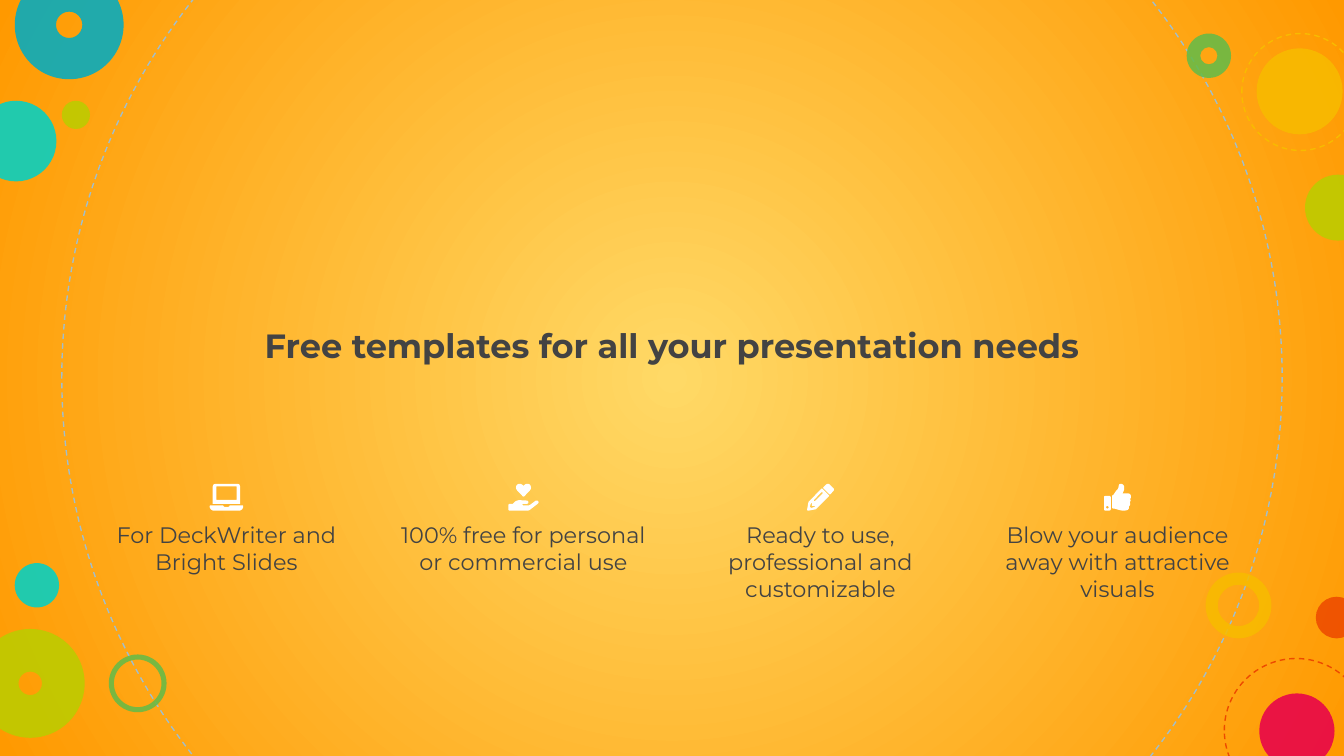
import lxml.etree
import pptx
import pptx.dml.color
import pptx.enum.dml
import pptx.enum.shapes
import pptx.enum.text
import pptx.oxml.ns
import pptx.util

PX = 9144  # EMU per px, 100 px to the inch
ICON_UNIT = 914.4  # EMU per unit of the icon outlines
FONT = "Montserrat"
COLORS = {
    "centre": "FFD966", "edge": "FF9900", "text": "434343", "icon": "FFFFFF",
    "mist": "A1BECC", "teal": "00D1C6", "yellow": "F8BB00", "cyan": "00ACC3",
    "lime": "BBCD00", "orange": "ED4A00", "green": "65BB48", "red": "E8004C",
}

# Circles: left, top, diameter, colour, and the ring thickness of a donut
DASHED_CIRCLES = [
    (46, -173, 908, "mist"), (911, 490, 107, "orange"), (924, 25, 87, "yellow"),
]
FILLED_CIRCLES = [
    (-18, 75, 60, "teal", None), (897, 426, 49, "yellow", 0.186),
    (11, -22, 81, "cyan", 0.379), (46, 75, 21, "lime", None),
    (81, 487, 43, "green", 0.088), (979, 444, 31, "orange", None),
    (-18, 468, 81, "lime", 0.392), (937, 516, 56, "red", None),
    (883, 25, 33, "green", 0.306), (935, 36, 64, "yellow", None),
    (971, 130, 49, "lime", None), (11, 419, 33, "teal", None),
]

# Icon outlines, each a list of closed contours
LAPTOP = [
    [(50, 20), (200, 20), (200, 120), (50, 120)],
    [(40, 0), (28, 6), (23, 20), (23, 150), (227, 150), (227, 20), (222, 6), (210, 0)],
    [(5, 160), (0, 165), (0, 175), (8, 190), (25, 200), (225, 200), (242, 190),
     (250, 175), (250, 165), (245, 160), (150, 160), (147, 167), (140, 172),
     (110, 172), (103, 167), (100, 160)],
]
HEART_IN_HAND = [
    [(80, 0), (67, 5), (58, 18), (57, 32), (62, 45), (68, 52), (107, 93), (113, 96),
     (119, 93), (158, 52), (166, 42), (169, 28), (165, 13), (155, 3), (143, 0),
     (130, 2), (121, 8), (113, 16), (105, 8), (95, 2)],
    [(80, 122), (65, 125), (50, 132), (32, 150), (6, 150), (0, 156), (0, 194),
     (6, 200), (145, 200), (155, 197), (164, 191), (220, 148), (225, 139),
     (223, 130), (216, 125), (207, 125), (200, 128), (165, 155), (155, 160),
     (109, 160), (104, 157), (104, 152), (109, 150), (138, 150), (147, 146),
     (150, 138), (147, 129), (138, 125)],
]
PENCIL = [
    [(152, 0), (143, 5), (120, 28), (120, 32), (167, 79), (172, 79), (194, 56),
     (199, 48), (199, 38), (195, 32), (167, 4), (160, 0)],
    [(112, 35), (107, 37), (10, 135), (0, 190), (0, 196), (4, 200), (10, 200),
     (65, 190), (163, 92), (164, 87)],
    [(110, 62), (116, 64), (116, 72), (58, 129), (51, 130), (49, 122), (106, 64)],
    [(30, 142), (35, 142), (35, 165), (57, 165), (57, 172), (30, 180), (20, 170)],
]
THUMB_UP = [
    [(8, 90), (2, 93), (0, 99), (0, 190), (3, 197), (9, 200), (40, 200), (47, 197),
     (50, 190), (50, 99), (47, 93), (40, 90)],
    [(25, 165), (32, 168), (35, 175), (32, 182), (25, 185), (18, 182), (15, 175),
     (18, 168)],
    [(122, 0), (114, 4), (110, 12), (106, 32), (100, 42), (88, 55), (72, 80),
     (62, 87), (60, 93), (60, 177), (64, 184), (80, 186), (108, 194), (130, 199),
     (152, 200), (168, 198), (180, 192), (185, 183), (184, 170), (193, 160),
     (195, 145), (192, 138), (198, 127), (196, 112), (200, 103), (200, 88),
     (194, 77), (182, 72), (138, 72), (146, 55), (150, 40), (150, 20), (144, 8),
     (135, 2)],
]
FEATURES = [
    (LAPTOP, "For DeckWriter and Bright Slides"),
    (HEART_IN_HAND, "100% free for personal or commercial use"),
    (PENCIL, "Ready to use, professional and customizable"),
    (THUMB_UP, "Blow your audience away with attractive visuals"),
]


def px(*lengths):
    return [pptx.util.Emu(length * PX) for length in lengths]


def color(name):
    return pptx.dml.color.RGBColor.from_string(COLORS[name])


def add_child(parent, tag, **attributes):
    child = lxml.etree.SubElement(parent, pptx.oxml.ns.qn(tag))
    for name, value in attributes.items():
        child.set(name, str(value))
    return child


def write_text(shape, text, size, bold=False):
    frame = shape.text_frame
    frame.text = text
    frame.word_wrap = True
    frame.auto_size = pptx.enum.text.MSO_AUTO_SIZE.NONE
    frame.vertical_anchor = pptx.enum.text.MSO_ANCHOR.TOP
    frame.margin_left = frame.margin_top = frame.margin_right = frame.margin_bottom = 0
    para = frame.paragraphs[0]
    para.alignment = pptx.enum.text.PP_ALIGN.CENTER
    font = para.runs[0].font
    font.name, font.size, font.bold = FONT, pptx.util.Pt(size), bold
    font.color.rgb = color("text")


def paint_background(page):
    fill = page.background.fill
    fill.gradient()
    for stop, name in zip(fill.gradient_stops, ("centre", "edge")):
        stop.color.rgb = color(name)
    # Make the gradient radial
    gradient = page.element.find(".//" + pptx.oxml.ns.qn("a:gradFill"))
    gradient.remove(gradient.find(pptx.oxml.ns.qn("a:lin")))
    radial = add_child(gradient, "a:path", path="circle")
    add_child(radial, "a:fillToRect", l=50000, t=50000, r=50000, b=50000)


def add_circle(page, left, top, size, ring=None):
    kinds = pptx.enum.shapes.MSO_SHAPE
    kind = kinds.OVAL if ring is None else kinds.DONUT
    circle = page.shapes.add_shape(kind, *px(left, top, size, size))
    circle.shadow.inherit = False
    if ring is not None:
        circle.adjustments[0] = ring
    return circle


def add_decoration(page):
    for left, top, size, name in DASHED_CIRCLES:
        circle = add_circle(page, left, top, size)
        circle.fill.background()
        circle.line.color.rgb = color(name)
        circle.line.width = pptx.util.Pt(0.75)
        circle.line.dash_style = pptx.enum.dml.MSO_LINE.DASH
    for left, top, size, name, ring in FILLED_CIRCLES:
        circle = add_circle(page, left, top, size, ring)
        circle.line.fill.background()
        circle.fill.solid()
        circle.fill.fore_color.rgb = color(name)
        tint = circle.element.spPr.find(".//" + pptx.oxml.ns.qn("a:srgbClr"))
        add_child(tint, "a:alpha", val=87000)


def place_title(page, left, top, width, height):
    title = page.shapes.title
    title.left, title.top, title.width, title.height = px(left, top, width, height)
    write_text(title, "Free templates for all your presentation needs", 18, bold=True)
    # Bring the title in front of the circles
    title.element.getparent().append(title.element)


def add_feature(page, left, top, width, height, outline, text):
    group = page.shapes.add_group_shape()
    # Caption below the icon
    caption = group.shapes.add_textbox(*px(left, top + 28, width, height - 28))
    write_text(caption, text, 12)
    # Icon centred over the caption
    builder = None
    for contour in outline:
        if builder is None:
            builder = group.shapes.build_freeform(*contour[0], scale=ICON_UNIT)
        else:
            builder.move_to(*contour[0])
        builder.add_line_segments(contour[1:], close=True)
    icon_width = max(x for contour in outline for x, y in contour) * ICON_UNIT
    icon = builder.convert_to_shape(int((left + width / 2) * PX - icon_width / 2), top * PX)
    icon.shadow.inherit = False
    icon.line.fill.background()
    icon.fill.solid()
    icon.fill.fore_color.rgb = color("icon")


def main():
    deck = pptx.Presentation()
    # Widescreen page, 16:9
    deck.slide_width = pptx.util.Emu(1000 * PX)
    deck.slide_height = pptx.util.Emu(deck.slide_width * 9 // 16)
    page = deck.slides.add_slide(deck.slide_layouts.get_by_name("Title Only"))
    paint_background(page)
    add_decoration(page)
    place_title(page, 121, 242, 758, 29)
    for column, (outline, text) in enumerate(FEATURES):
        add_feature(page, 76 + column * 221, 360, 185, 98, outline, text)
    deck.save("out.pptx")


if __name__ == "__main__":
    main()
